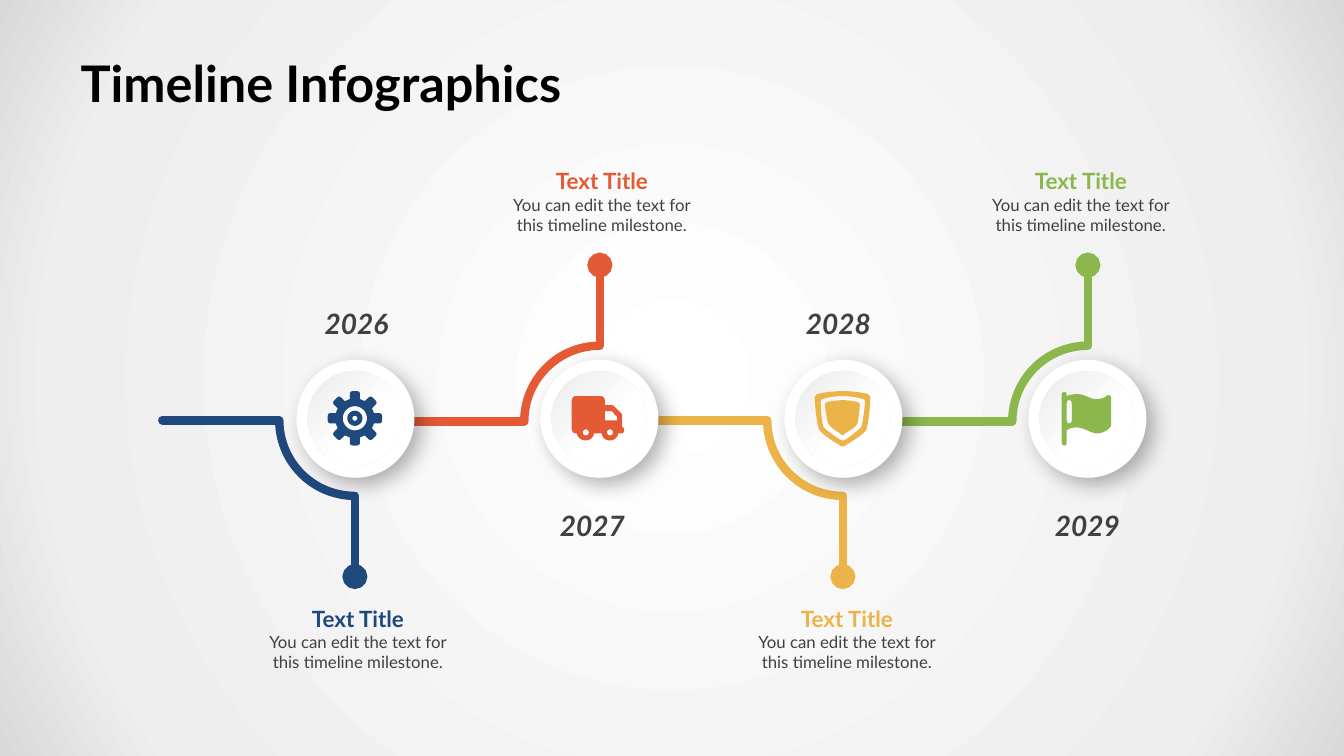
import math
from lxml import etree
from pptx import Presentation
from pptx import util as u
from pptx.dml.color import RGBColor
from pptx.enum import shapes, text
from pptx.oxml import ns

COLORS = {
    "blue": "1F497D", "red": "E35A35", "yellow": "ECB448", "green": "8BB74C",
    "white": "FFFFFF", "pale": "EEEEEE", "edge": "D9D9D9", "rim": "EBEBEB",
    "gray": "404040", "black": "000000",
}
FONT = "Lato"
FIRST_X, STEP, AXIS_Y = 3.52, 2.42, 4.17

SHIELD = [
    "M -28 -20 C -27 -4 -25 10 -23 12 C -20 16 -10 23 -4 26 C -3 27 -2 28 0 28 "
    "C 1 28 3 27 4 26 C 9 23 20 16 23 12 C 24 10 27 -4 27 -20 C 27 -22 26 -23 25 -24 "
    "C 18 -26 8 -27 0 -27 C -8 -27 -19 -26 -25 -24 C -27 -23 -28 -22 -28 -20",
    "M -22 -16 C -22 -18 -21 -19 -20 -19 C -15 -21 -7 -22 0 -22 C 6 -22 14 -21 20 -19 "
    "C 21 -19 22 -18 22 -16 C 21 -4 19 8 18 9 C 15 12 7 18 3 21 C 2 21 1 22 0 22 "
    "C -2 22 -2 21 -3 21 C -8 18 -16 12 -19 9 C -20 8 -22 -4 -22 -16",
    "M -18 -14 C -17 -6 -15 6 -14 6 C -12 9 -6 13 -3 15 C -2 16 -1 17 0 17 "
    "C 0 17 2 16 2 15 C 6 13 12 9 14 6 C 15 6 16 -4 17 -14 C 17 -14 16 -15 15 -16 "
    "C 11 -17 5 -18 0 -18 C -5 -18 -12 -17 -16 -16 C -17 -15 -18 -14 -18 -14",
]
FLAG = [
    "M -20 12 C -20 12 -17 9 -10 9 C -3 9 4 15 10 15 C 16 15 20 12 22 10 "
    "C 23 9 24 8 24 7 L 24 -20 C 24 -22 23 -23 21 -23 C 20 -23 20 -22 19 -22 "
    "C 18 -21 15 -19 9 -19 C 3 -19 -2 -24 -9 -24 C -17 -24 -20 -22 -20 -22 "
    "L -20 -24 C -20 -25 -21 -26 -22 -26 C -24 -26 -25 -25 -25 -24 L -25 24 "
    "C -25 26 -24 27 -22 27 C -21 27 -20 26 -20 24",
    "M -15 -15 L -15 2 C -15 4 -16 5 -18 5 C -19 5 -20 4 -20 2 L -20 -15 "
    "C -20 -17 -19 -18 -18 -18 C -16 -18 -15 -17 -15 -15",
]
TRUCK = [
    "M -23 15 C -25 15 -27 13 -27 10 L -27 -17 C -27 -20 -25 -22 -23 -22 L 2 -22 "
    "C 4 -22 6 -20 6 -17 L 6 -13 L 12 -13 C 14 -13 15 -12 16 -11 L 22 -5 "
    "C 23 -4 23 -3 23 -2 L 23 9 C 25 9 25 10 25 12 C 25 13 24 15 23 15 L 19 15 "
    "C 19 19 15 22 11 22 C 6 22 3 19 3 15 L -5 15 C -5 19 -9 22 -13 22 "
    "C -18 22 -21 19 -22 15",
    "M 18 2 L 18 -1 C 18 -2 17 -3 16 -3 L 14 -6 C 13 -7 13 -7 12 -7 L 6 -7 L 6 2",
]
TOOTH = [(-5, 19), (-5, 25), (-4, 26.5), (-2, 27), (2, 27), (4, 26.5), (5, 25), (5, 19)]


def outline(commands, steps=6):
    points = []
    for command in commands.replace("M", "L").replace("L", "|L").replace("C", "|C").split("|")[1:]:
        values = [float(v) for v in command[1:].split()]
        pairs = list(zip(values[::2], values[1::2]))
        if command[0] == "L":
            points += pairs
            continue
        curve = [points[-1]] + pairs
        for k in range(1, steps + 1):
            t = k / steps
            weights = ((1 - t) ** 3, 3 * t * (1 - t) ** 2, 3 * t * t * (1 - t), t ** 3)
            points.append(tuple(sum(w * pt[axis] for w, pt in zip(weights, curve)) for axis in (0, 1)))
    return points


def circle(radius, cx=0, cy=0, sides=32):
    angles = [2 * math.pi * k / sides for k in range(sides)]
    return [(cx + radius * math.cos(a), cy + radius * math.sin(a)) for a in angles]


def gear():
    rim = []
    for k in range(8):
        c, s = math.cos(k * math.pi / 4), math.sin(k * math.pi / 4)
        rim += [(across * c + out * s, across * s - out * c) for across, out in TOOTH]
    return [rim, circle(12), circle(7.5), circle(2.5)]


def write(p, content, size=12, color="gray", bold=False, italic=False, align=text.PP_ALIGN.CENTER):
    p.alignment = align
    r = p.add_run()
    r.text = content
    r.font.name, r.font.size = FONT, u.Pt(size)
    r.font.bold, r.font.italic = bold, italic
    r.font.color.rgb = RGBColor.from_string(COLORS[color])


def add_xml(parent, tag, **attributes):
    return etree.SubElement(parent, ns.qn(tag), attributes)


def paint_gradient(parent, stops):
    grad = etree.Element(ns.qn("a:gradFill"), {"rotWithShape": "1"})
    stop_list = add_xml(grad, "a:gsLst")
    for position, color in stops:
        stop = add_xml(stop_list, "a:gs", pos=str(position * 1000))
        add_xml(stop, "a:srgbClr", val=COLORS[color])
    parent.replace(parent.find(ns.qn("a:solidFill")), grad)
    return grad


class Timeline:
    def __init__(self, prs):
        self.s = prs.slides.add_slide(prs.slide_layouts[5])

    def background(self):
        self.s.background.fill.solid()
        bg = self.s._element.cSld.find(".//" + ns.qn("p:bgPr"))
        grad = paint_gradient(bg, [(0, "white"), (81, "pale"), (100, "edge")])
        path_fill = add_xml(grad, "a:path", path="circle")
        add_xml(path_fill, "a:fillToRect", l="50000", t="50000", r="50000", b="50000")

    def title(self, content):
        sp = self.s.shapes.title
        sp.left, sp.top, sp.width, sp.height = map(u.Inches, (0.67, 0.43, 12, 0.78))
        tf = sp.text_frame
        tf.auto_size, tf.vertical_anchor = text.MSO_AUTO_SIZE.NONE, text.MSO_ANCHOR.MIDDLE
        tf.margin_left = tf.margin_right = u.Inches(0.13)
        tf.margin_top = tf.margin_bottom = u.Inches(0.07)
        write(tf.paragraphs[0], content, size=36, color="black", bold=True, align=text.PP_ALIGN.LEFT)

    def stroke(self, sp, color):
        sp.line.color.rgb = RGBColor.from_string(COLORS[color])
        sp.line.width = u.Pt(6)
        ln = sp.line._get_or_add_ln()
        ln.set("cap", "rnd")
        add_xml(ln, "a:round")
        return ln

    def line(self, x1, y1, x2, y2, color, dot=False):
        sp = self.s.shapes.add_connector(shapes.MSO_CONNECTOR.STRAIGHT, *map(u.Inches, (x1, y1, x2, y2)))
        ln = self.stroke(sp, color)
        if dot:
            add_xml(ln, "a:tailEnd", type="oval")
        add_xml(sp._element.spPr, "a:effectLst")

    def arc(self, x, y, color, up):
        sp = self.s.shapes.add_shape(shapes.MSO_SHAPE.ARC, *map(u.Inches, (x, y, 1.5, 1.5)))
        sp.adjustments[0], sp.adjustments[1] = 108.13, 161.31
        sp.fill.background()
        self.stroke(sp, color)
        sp.shadow.inherit = False
        if not up:
            sp._element.spPr.find(ns.qn("a:xfrm")).set("flipV", "1")

    def branch(self, x, color, up):
        x, y = (x + 0.01, AXIS_Y + 0.01) if up else (x, AXIS_Y)
        way = -1 if up else 1
        self.arc(x - 0.75, y - 0.75, color, up)
        self.line(x - 0.75, y, x - 1.91, y, color)
        self.line(x, y + way * 0.75, x, y + way * 1.55, color, dot=True)

    def oval(self, x, y, size):
        sp = self.s.shapes.add_shape(shapes.MSO_SHAPE.OVAL, *map(u.Inches, (x, y, size, size)))
        sp.fill.solid()
        sp.fill.fore_color.rgb = RGBColor.from_string(COLORS["white"])
        sp.line.fill.background()
        sp.shadow.inherit = False
        return sp._element.spPr

    def disc(self, x):
        effects = self.oval(x - 0.58, 3.57, 1.17).find(ns.qn("a:effectLst"))
        shadow = add_xml(effects, "a:outerShdw", blurRad=str(u.Pt(15)), dist=str(u.Pt(7)),
                         dir="2700000", algn="tl", rotWithShape="0")
        add_xml(add_xml(shadow, "a:srgbClr", val=COLORS["black"]), "a:alpha", val="30000")
        grad = paint_gradient(self.oval(x - 0.47, 3.68, 0.94), [(0, "rim"), (60, "white")])
        add_xml(grad, "a:lin", ang="2700000", scaled="0")

    def icon(self, x, loops, color):
        loops = [[(u.Inches(x + px / 100), u.Inches(4.15 + py / 100)) for px, py in loop] for loop in loops]
        builder = self.s.shapes.build_freeform(*loops[0][0])
        for k, loop in enumerate(loops):
            if k:
                builder.move_to(*loop[0])
            builder.add_line_segments(loop[1:], close=True)
        sp = builder.convert_to_shape()
        sp.fill.solid()
        sp.fill.fore_color.rgb = RGBColor.from_string(COLORS[color])
        sp.line.fill.background()
        sp.shadow.inherit = False

    def box(self, x, y, w, h, wrap):
        tf = self.s.shapes.add_textbox(*map(u.Inches, (x, y, w, h))).text_frame
        tf.word_wrap, tf.vertical_anchor = wrap, text.MSO_ANCHOR.MIDDLE
        return tf

    def year(self, x, y, content):
        tf = self.box(x, y, 0.85, 0.44, False)
        tf.auto_size = text.MSO_AUTO_SIZE.SHAPE_TO_FIT_TEXT
        write(tf.paragraphs[0], content, size=20, bold=True, italic=True)

    def caption(self, x, y, color):
        tf = self.box(x, y, 2.02, 0.99, True)
        write(tf.paragraphs[0], "Text Title", size=16, color=color, bold=True)
        write(tf.add_paragraph(), "You can edit the text for this timeline milestone.")


def main():
    prs = Presentation()
    prs.slide_width, prs.slide_height = u.Inches(13.33), u.Inches(7.5)
    timeline = Timeline(prs)
    timeline.background()
    timeline.title("Timeline Infographics")
    truck = [outline(d) for d in TRUCK] + [circle(3, 11, 14), circle(3, -13, 14)]
    milestones = [
        ("2026", "blue", gear(), 3.11, 2.54),
        ("2027", "red", truck, 5.45, 4.96),
        ("2028", "yellow", [outline(d) for d in SHIELD], 7.89, 7.39),
        ("2029", "green", [outline(d) for d in FLAG], 10.36, 9.71),
    ]
    for i, (_, color, _, _, _) in enumerate(milestones):
        timeline.branch(FIRST_X + i * STEP, color, up=i % 2 == 1)
    for i, (year, color, loops, year_x, caption_x) in enumerate(milestones):
        up = i % 2 == 1
        x = FIRST_X + i * STEP
        timeline.disc(x)
        timeline.icon(x, loops, color)
        timeline.year(year_x, 4.99 if up else 2.99, year)
        timeline.caption(caption_x, 1.5 if up else 5.84, color)
    prs.save("out.pptx")


if __name__ == "__main__":
    main()
